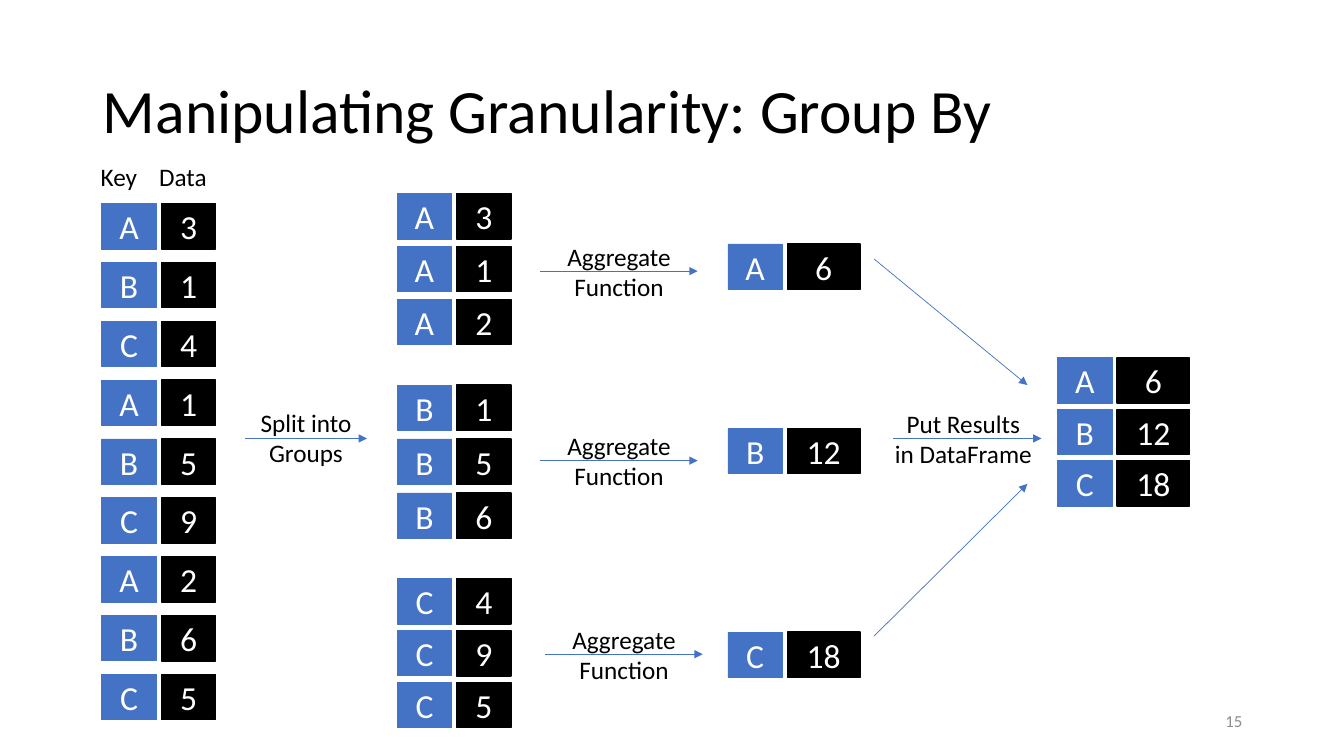
from dataclasses import dataclass

from lxml import etree
from pptx import Presentation
from pptx.dml.color import RGBColor
from pptx.enum.shapes import MSO_CONNECTOR, MSO_SHAPE
from pptx.enum.text import MSO_ANCHOR, MSO_AUTO_SIZE, PP_ALIGN
from pptx.oxml.ns import qn
from pptx.util import Inches, Pt

LEFT, CENTER, RIGHT = PP_ALIGN.LEFT, PP_ALIGN.CENTER, PP_ALIGN.RIGHT
TOP, MIDDLE = MSO_ANCHOR.TOP, MSO_ANCHOR.MIDDLE
RECTANGLE, STRAIGHT = MSO_SHAPE.RECTANGLE, MSO_CONNECTOR.STRAIGHT


@dataclass(frozen=True)
class Theme:
    """Font, colours and type sizes of the slide."""
    font: str = "Calibri"
    blue: RGBColor = RGBColor(0x44, 0x72, 0xC4)
    black: RGBColor = RGBColor(0, 0, 0)
    white: RGBColor = RGBColor(255, 255, 255)
    grey: RGBColor = RGBColor(0x8C, 0x8C, 0x8C)
    title_size: int = 44
    cell_size: int = 24
    label_size: int = 18
    number_size: int = 12


theme = Theme()


def write(box, text, size=theme.label_size, color=theme.black, align=LEFT,
          anchor=TOP, wrap=False, spacing=1.0):
    """Put text into a box, one paragraph a line, and format it."""
    frame = box.text_frame
    frame.text = text
    frame.auto_size = MSO_AUTO_SIZE.NONE
    frame.word_wrap = wrap
    frame.vertical_anchor = anchor
    for para in frame.paragraphs:
        para.alignment = align
        para.line_spacing = spacing
        for span in para.runs:
            span.font.name = theme.font
            span.font.size = Pt(size)
            span.font.color.rgb = color


deck = Presentation()
deck.slide_width, deck.slide_height = Inches(13.33), Inches(7.5)
page = deck.slides.add_slide(deck.slide_layouts.get_by_name("Title Only"))

title = page.shapes.title
title.left, title.top = Inches(0.92), Inches(0.4)
title.width, title.height = Inches(11.5), Inches(1.45)
write(title, "Manipulating Granularity: Group By", size=theme.title_size,
      anchor=MIDDLE, wrap=True, spacing=0.9)

# Stacks of key and data cells: left, first top, last top, data width, rows
KEY_WIDTH, CELL_HEIGHT, DATA_OFFSET = 0.54, 0.45, 0.59
NARROW, WIDE = 0.54, 0.72
stacks = [
    (1.01, 2.02, 6.69, NARROW, "A3 B1 C4 A1 B5 C9 A2 B6 C5"),
    (3.94, 1.92, 2.97, NARROW, "A3 A1 A2"),
    (3.94, 3.82, 4.89, NARROW, "B1 B5 B6"),
    (3.94, 5.74, 6.77, NARROW, "C4 C9 C5"),
    (7.22, 2.42, 2.42, WIDE, "A6"),
    (7.22, 4.25, 4.25, WIDE, "B12"),
    (7.22, 6.27, 6.27, WIDE, "C18"),
    (10.49, 3.55, 4.57, WIDE, "A6 B12 C18"),
]
for left, first_top, last_top, data_width, rows in stacks:
    rows = rows.split()
    pitch = (last_top - first_top) / max(len(rows) - 1, 1)
    for index, row in enumerate(rows):
        top = first_top + index * pitch
        pair = page.shapes.add_group_shape()
        for text, cell_left, width, color, line_width in (
            (row[0], left, KEY_WIDTH, theme.blue, 0.5),
            (row[1:], left + DATA_OFFSET, data_width, theme.black, 1),
        ):
            cell = pair.shapes.add_shape(
                RECTANGLE, Inches(cell_left), Inches(top),
                Inches(width), Inches(CELL_HEIGHT))
            cell.shadow.inherit = False
            cell.fill.solid()
            cell.fill.fore_color.rgb = color
            cell.line.color.rgb = color
            cell.line.width = Pt(line_width)
            write(cell, text, size=theme.cell_size, color=theme.white,
                  align=CENTER, anchor=MIDDLE, wrap=True)

# Arrows of the steps: start x, start y, end x, end y
arrows = [
    (2.43, 4.35, 3.64, 4.35),
    (5.36, 2.69, 6.92, 2.69),
    (5.36, 4.57, 6.92, 4.57),
    (5.41, 6.49, 6.97, 6.49),
    (8.67, 2.57, 10.19, 3.82),
    (8.86, 4.35, 10.33, 4.35),
    (8.67, 6.31, 10.19, 4.8),
]
for ends in arrows:
    arrow = page.shapes.add_connector(STRAIGHT, *map(Inches, ends))
    arrow.line.color.rgb = theme.blue
    arrow.line.width = Pt(0.5)
    etree.SubElement(arrow.line._get_or_add_ln(), qn("a:tailEnd"), type="triangle")
    etree.SubElement(arrow._element.spPr, qn("a:effectLst"))

# Labels: text, left, top, width, height, format
AGGREGATE = "Aggregate\nFunction"
centered = {"align": CENTER}
labels = [
    ("Key", 0.9, 1.55, 0.65, 0.4, {}),
    ("Data", 1.48, 1.55, 0.82, 0.4, {}),
    ("Split into\nGroups", 2.43, 3.99, 1.21, 0.71, centered),
    (AGGREGATE, 5.36, 2.34, 1.56, 0.71, centered),
    (AGGREGATE, 5.36, 4.22, 1.56, 0.71, centered),
    (AGGREGATE, 5.41, 6.14, 1.56, 0.71, centered),
    ("Put Results\nin DataFrame", 8.77, 4, 1.57, 0.71, centered),
    ("15", 9.42, 6.95, 3, 0.4,
     {"size": theme.number_size, "color": theme.grey, "align": RIGHT,
      "anchor": MIDDLE, "wrap": True}),
]
for text, *place, text_format in labels:
    write(page.shapes.add_textbox(*map(Inches, place)), text, **text_format)

deck.save("out.pptx")
